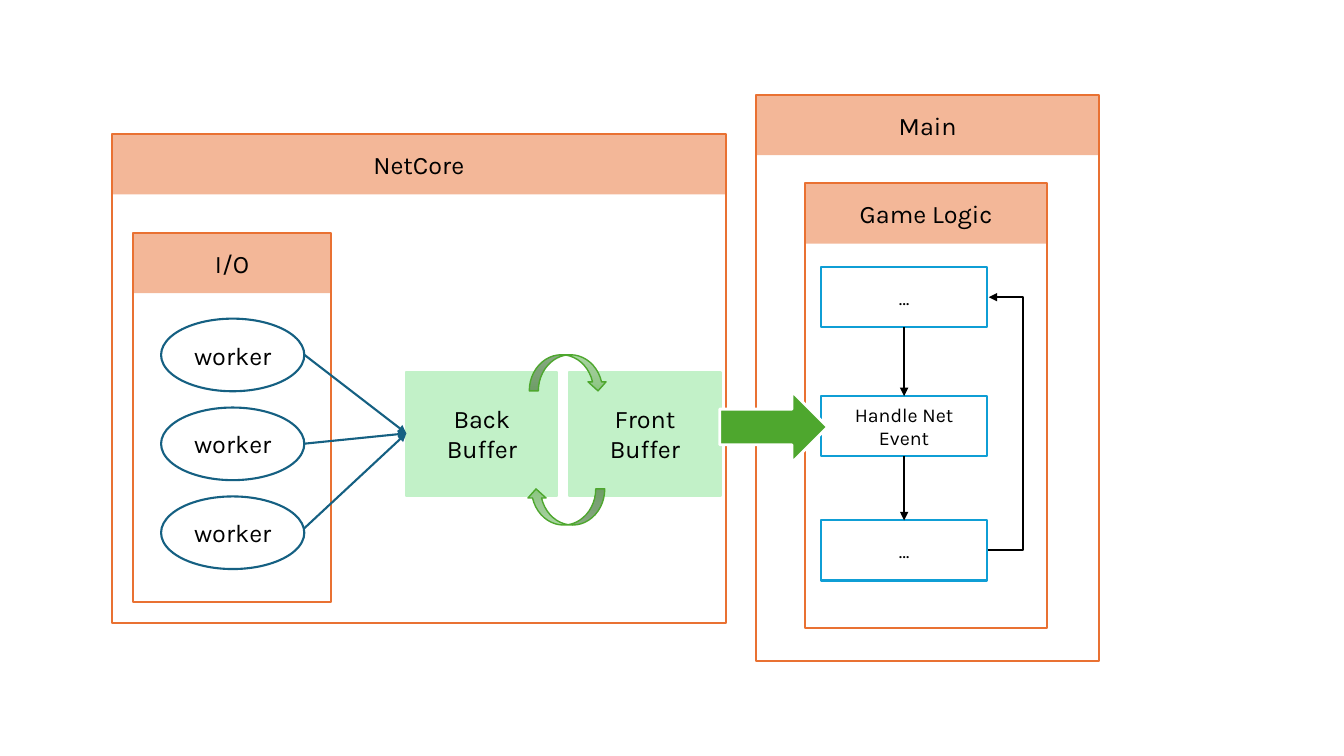
from copy import deepcopy

from lxml import etree
from pptx import Presentation
from pptx.dml.color import RGBColor
from pptx.enum.shapes import MSO_CONNECTOR, MSO_SHAPE
from pptx.enum.text import MSO_ANCHOR, PP_ALIGN
from pptx.oxml.ns import qn
from pptx.util import Cm, Pt

color = RGBColor.from_string
ORANGE, NAVY, BLUE, GREEN, MINT = "E97132", "156082", "0F9ED5", "4EA72E", "C2F1C8"
WHITE, BLACK = "FFFFFF", "000000"

presentation = Presentation()
presentation.slide_width, presentation.slide_height = Cm(33.87), Cm(19.05)
slide = presentation.slides.add_slide(presentation.slide_layouts[6])


def add_block(kind, box, fill=WHITE, line=None, width=1.5, lines=(), size=18):
    shape = slide.shapes.add_shape(kind, *[Cm(value) for value in box])
    shape.shadow.inherit = False
    shape.fill.solid()
    shape.fill.fore_color.rgb = color(fill)
    if line:
        shape.line.color.rgb = color(line)
        shape.line.width = Pt(width)
    else:
        shape.line.fill.background()
    frame = shape.text_frame
    frame.word_wrap = True
    frame.vertical_anchor = MSO_ANCHOR.MIDDLE
    paragraph = frame.paragraphs[0]
    paragraph.alignment = PP_ALIGN.CENTER
    for index, text in enumerate(lines):
        if index:
            paragraph.add_line_break()
        run = paragraph.add_run()
        run.text = text
        run.font.name, run.font.size = "Karla", Pt(size)
        run.font.color.rgb = color(BLACK)
    return shape


def add_arrow(start, end, line, kind=MSO_CONNECTOR.STRAIGHT):
    points = [Cm(value) for value in (*start, *end)]
    connector = slide.shapes.add_connector(kind, *points)
    connector.line.color.rgb = color(line)
    connector.line.width = Pt(1.5)
    properties = connector.element.spPr
    outline = properties.find(qn("a:ln"))
    etree.SubElement(outline, qn("a:tailEnd"), type="triangle")
    etree.SubElement(properties, qn("a:effectLst"))
    return connector


# Containers with translucent title bars
HEADER_HEIGHT = 1.52
for title, left, top, width, height in (
    ("NetCore", 2.82, 3.38, 15.47, 12.32),
    ("I/O", 3.35, 5.87, 5, 9.3),
    ("Main", 19.06, 2.39, 8.64, 14.27),
    ("Game Logic", 20.29, 4.62, 6.1, 11.2),
):
    add_block(MSO_SHAPE.RECTANGLE, (left, top, width, height), line=ORANGE)
    header = add_block(MSO_SHAPE.RECTANGLE, (left, top, width, HEADER_HEIGHT),
                       fill=ORANGE, lines=[title])
    tint = header.element.spPr.find(qn("a:solidFill"))[0]
    etree.SubElement(tint, qn("a:alpha"), val="50000")

# Workers
for row in range(3):
    add_block(MSO_SHAPE.OVAL, (4.06, 8.03 + 2.24 * row, 3.61, 1.83),
              line=NAVY, lines=["worker"])

# Buffers
for left, name in ((10.24, "Back"), (14.35, "Front")):
    add_block(MSO_SHAPE.RECTANGLE, (left, 9.37, 3.81, 3.12), fill=MINT,
              line=MINT, lines=[name, "Buffer"])

# Workers write into the back buffer
for worker_y in (8.94, 11.18, 13.31):
    add_arrow((7.67, worker_y), (10.24, 10.92), NAVY)

# Swap arrows between the buffers
for left, top, rotation in ((13.34, 8.94, 0), (13.28, 12.32, 180)):
    swap = add_block(MSO_SHAPE.CURVED_DOWN_ARROW, (left, top, 1.96, 0.91),
                     line=GREEN, width=1)
    swap.rotation = rotation
    swap.fill.gradient()
    swap.fill.gradient_angle = 270
    stop_list = swap.element.spPr.find(".//" + qn("a:gsLst"))
    stop_list.insert(1, deepcopy(stop_list[0]))
    shades = ((0, "A8D5A0"), (0.5, "9CCA94"), (1, "8AC680"))
    for stop, (position, shade) in zip(swap.fill.gradient_stops, shades):
        stop.position = position
        stop.color.rgb = color(shade)

# Game loop steps
STEP_LEFT, STEP_WIDTH, STEP_HEIGHT = 20.7, 4.17, 1.52
step_tops = (6.73, 9.98, 13.11)
for top, text in zip(step_tops, ("…", "Handle Net Event", "…")):
    add_block(MSO_SHAPE.RECTANGLE, (STEP_LEFT, top, STEP_WIDTH, STEP_HEIGHT),
              line=BLUE, lines=[text], size=14)
step_center = STEP_LEFT + STEP_WIDTH / 2
for upper, lower in zip(step_tops, step_tops[1:]):
    add_arrow((step_center, upper + STEP_HEIGHT), (step_center, lower), BLACK)

# Front buffer feeds the event step
add_block(MSO_SHAPE.RIGHT_ARROW, (18.14, 9.86, 2.72, 1.8), fill=GREEN,
          line=WHITE, width=2)

# Return path from the last step to the first
loop_start, loop_end, loop_turn = 24.89, 24.92, 25.78
loop = add_arrow((loop_start, step_tops[2] + STEP_HEIGHT / 2),
                 (loop_end, step_tops[0] + STEP_HEIGHT / 2),
                 BLACK, MSO_CONNECTOR.ELBOW)
bend = round((loop_turn - loop_start) / (loop_end - loop_start) * 100000)
guides = loop.element.spPr.find(".//" + qn("a:avLst"))
etree.SubElement(guides, qn("a:gd"), name="adj1", fmla=f"val {bend}")

presentation.save("out.pptx")
